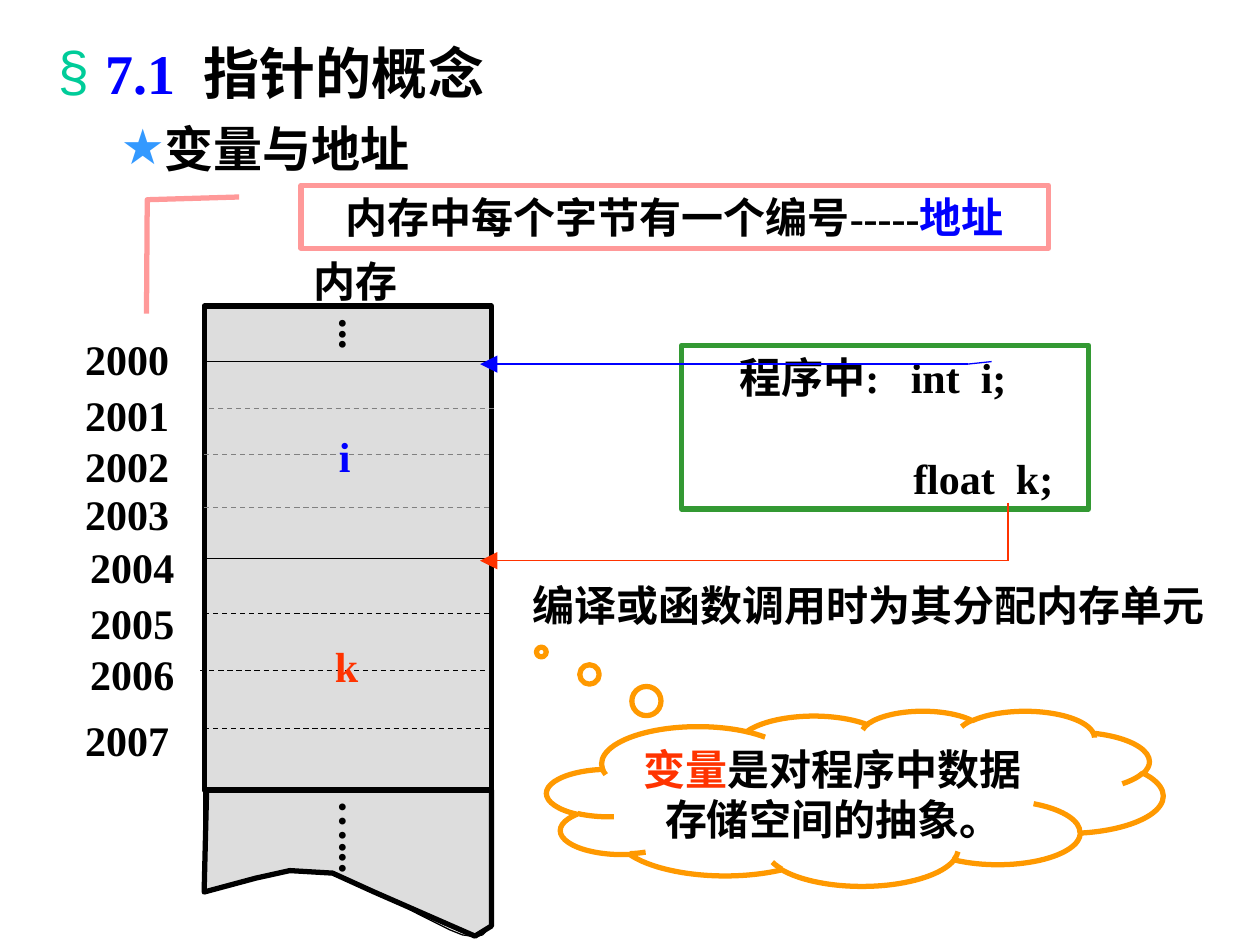
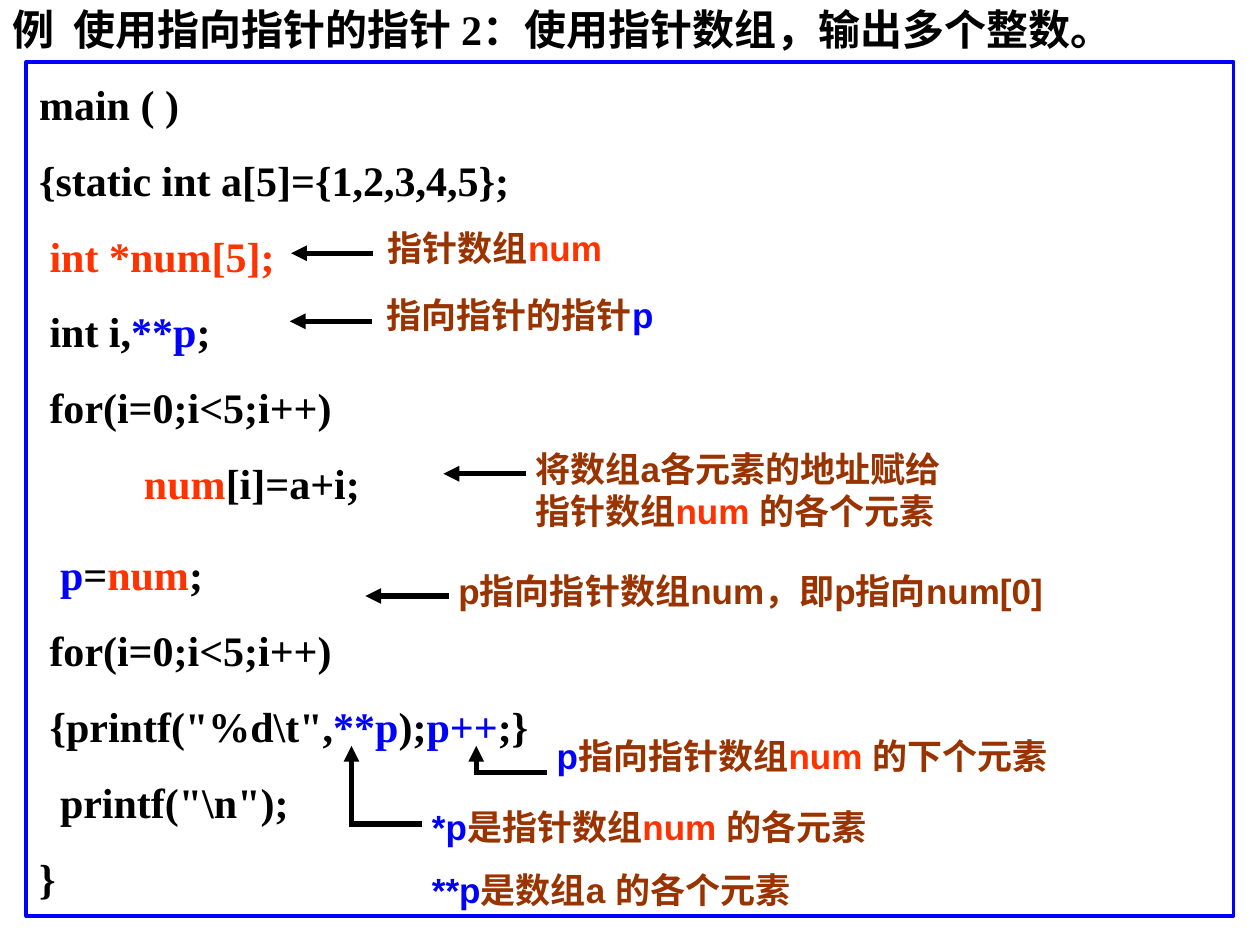
import pptx
import pptx.dml.color
import pptx.enum.dml
import pptx.enum.shapes
import pptx.enum.text
import pptx.util
from lxml import etree
from pptx.oxml.ns import qn

PX = 9144  # EMU in one px, 100 px to the inch
BLACK, BLUE, RED, BROWN = "000000", "0000FF", "FF3300", "993300"
GREY, ORANGE = "808080", "FF9900"
colour = pptx.dml.color.RGBColor.from_string
SHAPE = pptx.enum.shapes.MSO_SHAPE
LEFT, CENTER = pptx.enum.text.PP_ALIGN.LEFT, pptx.enum.text.PP_ALIGN.CENTER
TOP, MIDDLE = pptx.enum.text.MSO_ANCHOR.TOP, pptx.enum.text.MSO_ANCHOR.MIDDLE


def write(shape, paragraphs, size=24, font="Times New Roman", align=LEFT,
          anchor=TOP, wrap=True, space=0):
    """Fill a shape with paragraphs, each a list of (text, colour) runs."""
    frame = shape.text_frame
    frame.auto_size = pptx.enum.text.MSO_AUTO_SIZE.NONE
    frame.word_wrap = wrap
    frame.vertical_anchor = anchor
    for index, runs in enumerate(paragraphs):
        paragraph = frame.add_paragraph() if index else frame.paragraphs[0]
        paragraph.alignment = align
        paragraph.space_before = pptx.util.Pt(space if index else 0)
        for text, run_colour in runs:
            run = paragraph.add_run()
            run.text = text
            run.font.size = pptx.util.Pt(size)
            run.font.name = font
            run.font.bold = True
            run.font.color.rgb = colour(run_colour)


def add_line(slide, points, line_colour=BLACK, width=0.75, dashed=False, arrow=False):
    """Draw a straight line; an arrow points at its end."""
    line = slide.shapes.add_connector(
        pptx.enum.shapes.MSO_CONNECTOR.STRAIGHT, *(value * PX for value in points))
    line.line.color.rgb = colour(line_colour)
    line.line.width = pptx.util.Pt(width)
    stroke = line.line._get_or_add_ln()
    if dashed:
        line.line.dash_style = pptx.enum.dml.MSO_LINE.DASH
    if width > 1:
        stroke.set("cap", "sq")  # closes the corners of bent arrows
    if arrow:
        head = "med" if width > 1 else "lg"
        etree.SubElement(stroke, qn("a:tailEnd"), type="triangle", w=head, len=head)
    etree.SubElement(line._element.spPr, qn("a:effectLst"))


presentation = pptx.Presentation()
presentation.slide_width, presentation.slide_height = 1000 * PX, 750 * PX
layout = presentation.slide_layouts[1]

# ---- Slide 1: variables and addresses ----
slide = presentation.slides.add_slide(layout)
title, body = slide.placeholders
headings = [
    (title, 25, 64, 32, [("7.1  ", BLUE), ("指针的概念", BLACK)], "§", "00CC99", 38, 38),
    (body, 90, 55, 28, [("变量与地址", BLACK)], "★", "3399FF", 81, 31),
]
for shape, top, height, size, runs, bullet, bullet_colour, margin, hanging in headings:
    shape.left, shape.top, shape.width, shape.height = 36 * PX, top * PX, 933 * PX, height * PX
    write(shape, [runs], size, anchor=MIDDLE)
    properties = shape.text_frame.paragraphs[0]._p.get_or_add_pPr()
    properties.set("marL", str(margin * PX))
    properties.set("indent", str(-hanging * PX))
    etree.SubElement(etree.SubElement(properties, qn("a:buClr")),
                     qn("a:srgbClr"), val=bullet_colour)
    etree.SubElement(properties, qn("a:buFont"), typeface="Arial")
    etree.SubElement(properties, qn("a:buChar"), char=bullet)

# Outlined boxes: program, address callout, thought cloud
boxes = [
    (SHAPE.RECTANGLE, (541, 274, 323, 130), [], "339933",
     [[("程序中:   int  i;", BLACK)], [("float  k;", BLACK)]], LEFT, MIDDLE, False, 29),
    (SHAPE.LINE_CALLOUT_2, (239, 147, 593, 50),
     [0.188, -0.083, 0.231, -0.206, 2.038, -0.207], "FF9999",
     [[("内存中每个字节有一个编号-----", BLACK), ("地址", BLUE)]], CENTER, MIDDLE, True, 0),
    (SHAPE.CLOUD_CALLOUT, (434, 564, 489, 139), [-0.509, -0.835], ORANGE,
     [[("变量", RED), ("是对程序中数据", BLACK)], [("存储空间的抽象。", BLACK)]],
     CENTER, TOP, False, 0),
]
for kind, place, adjustments, outline, paragraphs, align, anchor, wrap, space in boxes:
    box = slide.shapes.add_shape(kind, *(value * PX for value in place))
    box.shadow.inherit = False
    box.fill.background()
    box.line.color.rgb = colour(outline)
    box.line.width = pptx.util.Pt(3)
    for index, value in enumerate(adjustments):
        box.adjustments[index] = value
    write(box, paragraphs, align=align, anchor=anchor, wrap=wrap, space=space)
    if kind == SHAPE.RECTANGLE:
        for paragraph, margin in zip(box.text_frame.paragraphs, (36, 174)):
            paragraph._p.get_or_add_pPr().set("marL", str(margin * PX))

# Torn lower edge of the memory: a thin curve behind a filled outline
curves = [
    [(162, 709), (192, 698), (222, 687), (256, 692)],
    [(256, 692), (290, 698), (344, 735), (367, 742)],
    [(367, 742), (389, 748), (386, 733), (390, 731)],
]
curve_points = []
for curve in curves:
    for step in range(9):
        t = step / 8
        weights = ((1 - t) ** 3, 3 * t * (1 - t) ** 2, 3 * t * t * (1 - t), t ** 3)
        curve_points.append(tuple(
            sum(weight * point[axis] for weight, point in zip(weights, curve))
            for axis in (0, 1)))
torn_points = [(164, 627), (390, 627), (390, 735), (377, 743), (297, 708),
               (264, 693), (230, 691), (203, 697), (162, 708)]
for points, closed, width in ((curve_points, False, 0.75), (torn_points, True, 3)):
    builder = slide.shapes.build_freeform(*points[0], scale=PX)
    builder.add_line_segments(points[1:], close=closed)
    edge = builder.convert_to_shape()
    edge.shadow.inherit = False
    edge.line.color.rgb = colour(BLACK)
    edge.line.width = pptx.util.Pt(width)
    if closed:
        edge.fill.solid()
        edge.fill.fore_color.rgb = colour("DDDDDD")
    else:
        edge.fill.background()

# Memory column with its byte lines
memory = slide.shapes.add_shape(SHAPE.RECTANGLE, 162 * PX, 243 * PX, 228 * PX, 384 * PX)
memory.shadow.inherit = False
memory.fill.solid()
memory.fill.fore_color.rgb = colour("DDDDDD")
memory.line.color.rgb = colour(BLACK)
memory.line.width = pptx.util.Pt(3)
byte_lines = [
    (162, 287, BLACK, False), (166, 324, GREY, True), (162, 361, GREY, True),
    (162, 403, GREY, True), (162, 443, BLACK, False), (162, 487, BLACK, True),
    (159, 532, BLACK, True), (162, 578, BLACK, True), (162, 626, BLACK, False),
]
for left, top, line_colour, dashed in byte_lines:
    add_line(slide, (left, top, left + 228, top), line_colour, dashed=dashed)
add_line(slide, (162, 628, 162, 707))
add_line(slide, (390, 628, 390, 732))

# Addresses, column heading and variable names
addresses = [(58, 260), (58, 304), (58, 345), (58, 383),
             (62, 425), (62, 469), (62, 510), (58, 562)]
labels = [(left, top, 86, str(2000 + index), BLACK)
          for index, (left, top) in enumerate(addresses)]
labels += [(237, 198, 91, "内存", BLACK), (259, 337, 29, "i", BLUE), (256, 503, 38, "k", RED)]
for left, top, width, text, text_colour in labels:
    label = slide.shapes.add_textbox(left * PX, top * PX, width * PX, 50 * PX)
    write(label, [[(text, text_colour)]], align=CENTER, anchor=MIDDLE, wrap=False)

# Vertical dots
for top, height, text in ((243, 35, "..."), (625, 69, "…...")):
    dots = slide.shapes.add_textbox(253 * PX, top * PX, 60 * PX, height * PX)
    write(dots, [[(text, BLACK)]], align=CENTER, anchor=MIDDLE, wrap=False)
    frame = dots.text_frame
    frame.margin_left = frame.margin_right = 5 * PX
    frame.margin_top = frame.margin_bottom = 10 * PX
    frame._txBody.bodyPr.set("vert", "eaVert")

# Allocation note and arrows from the declarations
allocation = slide.shapes.add_textbox(413 * PX, 455 * PX, 587 * PX, 50 * PX)
write(allocation, [[("编译或函数调用时为其分配内存单元", BLACK)]])
add_line(slide, (787, 287, 768, 289), BLUE)
add_line(slide, (768, 289, 381, 289), BLUE, arrow=True)
add_line(slide, (800, 399, 800, 445), RED)
add_line(slide, (800, 445, 381, 445), RED, arrow=True)

# ---- Slide 2: pointer to pointer example ----
slide = presentation.slides.add_slide(layout)
title, body = slide.placeholders
title.left, title.top, title.width, title.height = 0, 0, 1000 * PX, 45 * PX
write(title, [[("例  使用指向指针的指针 2：使用指针数组，输出多个整数。", BLACK)]], anchor=MIDDLE)

# Program listing
code = [
    [("main ( )", BLACK)],
    [("{static int a[5]={1,2,3,4,5};", BLACK)],
    [(" ", BLACK), ("int *num[5];", RED)],
    [(" int i,", BLACK), ("**p", BLUE), (";", BLACK)],
    [(" for(i=0;i<5;i++)", BLACK)],
    [("          num", RED), ("[i]=a+i;", BLACK)],
    [("  ", BLACK), ("p", BLUE), ("=", BLACK), ("num", RED), (";", BLACK)],
    [(" for(i=0;i<5;i++)", BLACK)],
    [(' {printf("%d\\t",', BLACK), ("**p", BLUE), (");", BLACK), ("p++", BLUE), (";}", BLACK)],
    [('  printf("\\n");', BLACK)],
    [("}", BLACK)],
]
body.left, body.top, body.width, body.height = 21 * PX, 49 * PX, 958 * PX, 678 * PX
body.line.color.rgb = colour(BLUE)
body.line.width = pptx.util.Pt(2.25)
write(body, code, space=14.6)
body.text_frame.margin_top = 13 * PX
body.text_frame.paragraphs[6].space_before = pptx.util.Pt(23)
for paragraph in body.text_frame.paragraphs:
    properties = paragraph._p.get_or_add_pPr()
    properties.set("marL", "0")
    properties.set("indent", "0")
    etree.SubElement(properties, qn("a:buNone"))

# Notes beside the code
notes = [
    (298, 175, 250, 44, [[("指针数组", BROWN), ("num", RED)]]),
    (297, 228, 250, 44, [[("指向指针的指针", BROWN), ("p", BLUE)]]),
    (415, 350, 345, 110,
     [[("将数组a各元素的地址赋给指针数组", BROWN), ("num ", RED), ("的各个元素", BROWN)]]),
    (354, 447, 492, 77, [[("p指向指针数组num，即p指向num[0]", BROWN)]]),
    (432, 578, 488, 44,
     [[("p", BLUE), ("指向指针数组", BROWN), ("num ", RED), ("的下个元素", BROWN)]]),
    (333, 634, 488, 94,
     [[("*p", BLUE), ("是指针数组", BROWN), ("num ", RED), ("的各元素", BROWN)],
      [("**p", BLUE), ("是数组a 的各个元素", BROWN)]]),
]
for left, top, width, height, paragraphs in notes:
    note = slide.shapes.add_textbox(left * PX, top * PX, width * PX, height * PX)
    write(note, paragraphs, 20, "Arial", space=12.5)

# Arrows from the notes to the code; the bent ones stop below the printf line
for right, left, top in ((294, 231, 201), (293, 230, 255), (415, 352, 376), (354, 290, 473)):
    add_line(slide, (right, top, left, top), width=3, arrow=True)
for right, left, bottom in ((333, 279, 654), (432, 378, 613)):
    add_line(slide, (right, bottom, left, bottom), width=3)
    add_line(slide, (left, bottom, left, 592), width=3, arrow=True)

presentation.save("out.pptx")
